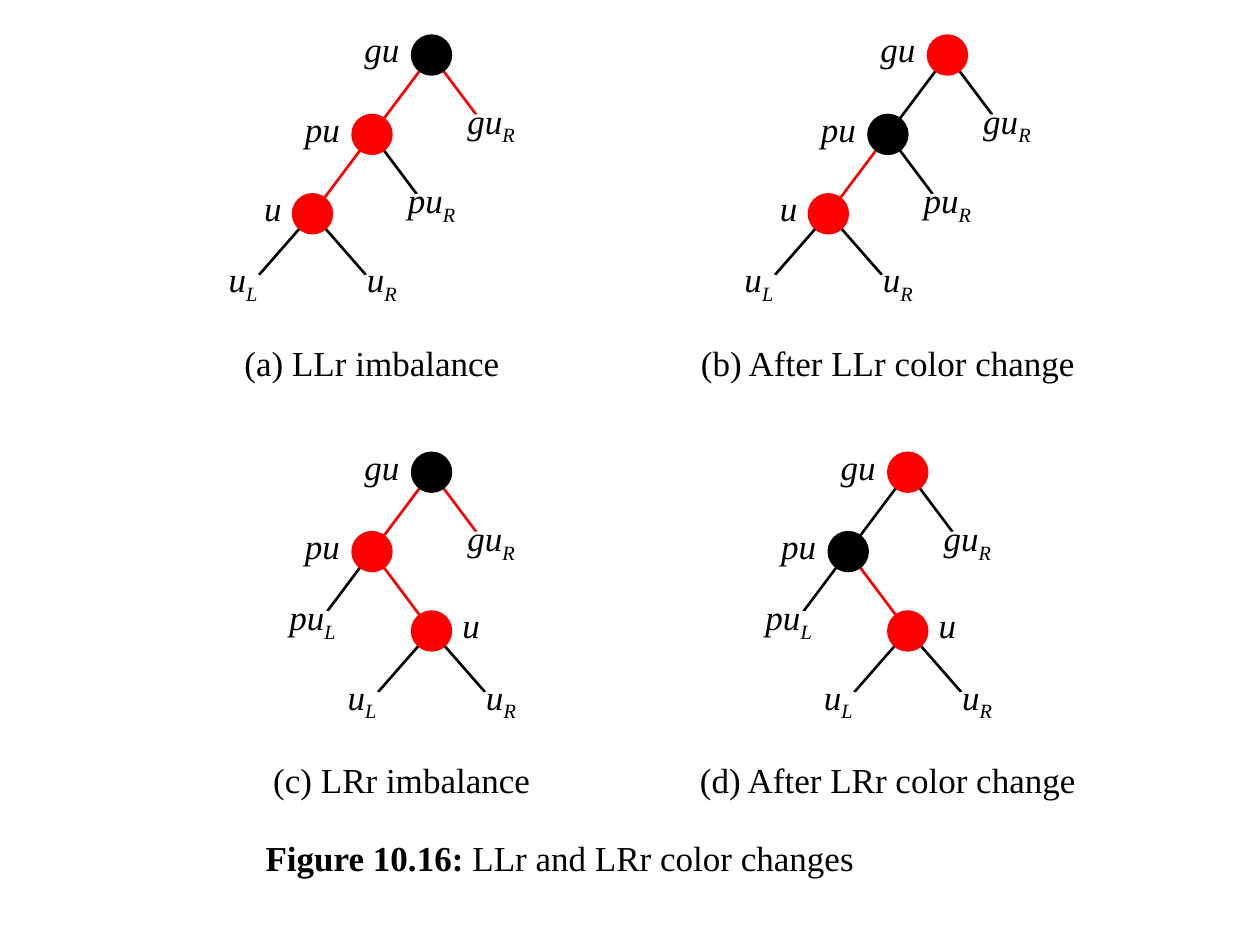
from lxml.etree import SubElement
from pptx import Presentation
from pptx.dml.color import RGBColor
from pptx.enum.shapes import MSO_CONNECTOR, MSO_SHAPE
from pptx.enum.text import MSO_ANCHOR, PP_ALIGN
from pptx.oxml.ns import qn
from pptx.util import Cm, Pt

COLORS = {"red": "FF0000", "black": "000000", "white": "FFFFFF"}
FONT = {"name": "Times New Roman", "size": Pt(20)}
TREES = [
    {"caption": "(a) LLr imbalance", "center": 7.5, "width": 6.4,
     "root": (8.7, 1.11), "turn": -1, "gu": "black", "pu": "red", "upper": "red"},
    {"caption": "(b) After LLr color change", "center": 17.9, "width": 8.8,
     "root": (19.1, 1.11), "turn": -1, "gu": "red", "pu": "black", "upper": "black"},
    {"caption": "(c) LRr imbalance", "center": 8.1, "width": 6,
     "root": (8.7, 9.52), "turn": 1, "gu": "black", "pu": "red", "upper": "red"},
    {"caption": "(d) After LRr color change", "center": 17.9, "width": 8.8,
     "root": (18.3, 9.52), "turn": 1, "gu": "red", "pu": "black", "upper": "black"},
]
FIGURE = [("Figure 10.16: ", True), ("LLr and LRr color changes", False)]
STEP, SPREAD, LEVEL, DISC = 1.2, 1.4, 1.6, 0.8
LEAF_WIDTHS = {"gu": 1.6, "pu": 1.6, "u": 1.2}
LABEL_WIDTHS = {"gu": 1.2, "pu": 1.2, "u": 0.8}
CAPTION_DROP, CAPTION_HEIGHT = 5.6, 1.2


def color(name):
    """Return the named colour."""
    return RGBColor.from_string(COLORS[name])


def set_values(target, values):
    """Set each attribute in values on target."""
    for key, value in values.items():
        setattr(target, key, value)


def frame_at(center, width, height):
    """Return left, top, width and height around a centre."""
    x, y = center
    return Cm(x - width / 2), Cm(y - height / 2), Cm(width), Cm(height)


def add_span(para, text, **extra):
    """Add black text in the slide's font."""
    span = para.add_run()
    span.text = text
    set_values(span.font, {**FONT, **extra})
    span.font.color.rgb = color("black")
    return span


def set_frame(box, anchor, bottom=0.0):
    """Centre a wrapped text frame without side insets and return its paragraph."""
    set_values(box.text_frame, {
        "word_wrap": True, "vertical_anchor": anchor, "margin_left": 0,
        "margin_right": 0, "margin_top": 0, "margin_bottom": Cm(bottom)})
    para = box.text_frame.paragraphs[0]
    para.alignment = PP_ALIGN.CENTER
    return para


def add_edge(page, start, end, name):
    """Draw a tree edge."""
    edge = page.shapes.add_connector(
        MSO_CONNECTOR.STRAIGHT, *(Cm(value) for value in start + end))
    edge.line.color.rgb = color(name)
    edge.line.width = Pt(1.5)
    SubElement(edge._element.spPr, qn("a:effectLst"))


def add_oval(page, center, width, name, weight):
    """Draw an oval filled and outlined in one colour."""
    oval = page.shapes.add_shape(MSO_SHAPE.OVAL, *frame_at(center, width, DISC))
    oval.shadow.inherit = False
    oval.fill.solid()
    oval.fill.fore_color.rgb = color(name)
    oval.line.color.rgb = color(name)
    oval.line.width = Pt(weight)
    return oval


def add_leaf(page, center, node, side):
    """Draw a subtree name with its subscript."""
    oval = add_oval(page, center, LEAF_WIDTHS[node], "white", 1.75)
    para = set_frame(oval, MSO_ANCHOR.BOTTOM, 0.03)
    add_span(para, node, italic=True)
    subscript = add_span(para, side, italic=True)
    subscript.font._element.set("baseline", "-25000")


def add_node(page, center, node, name, side):
    """Draw a node and its name on the given side."""
    add_oval(page, center, DISC, name, 1)
    width = LABEL_WIDTHS[node]
    middle = (center[0] + side * (DISC + width) / 2, center[1])
    box = page.shapes.add_textbox(*frame_at(middle, width, DISC))
    add_span(set_frame(box, MSO_ANCHOR.BOTTOM, 0.1), node, italic=True)


def add_tree(page, tree):
    """Draw one tree with its caption."""
    turn, gu = tree["turn"], tree["root"]

    def below(point, shift):
        """Return the point one level down."""
        return point[0] + shift, point[1] + LEVEL

    pu = below(gu, -STEP)
    u = below(pu, turn * STEP)
    leaves = [
        (gu, below(gu, STEP), "gu", "R", tree["upper"]),
        (pu, below(pu, -turn * STEP), "pu", "R" if turn < 0 else "L", "black"),
        (u, below(u, -SPREAD), "u", "L", "black"),
        (u, below(u, SPREAD), "u", "R", "black"),
    ]
    add_edge(page, gu, pu, tree["upper"])
    add_edge(page, pu, u, "red")
    for parent, center, node, side, name in leaves:
        add_edge(page, parent, center, name)
    for parent, center, node, side, name in leaves:
        add_leaf(page, center, node, side)
    add_node(page, gu, "gu", tree["gu"], -1)
    add_node(page, pu, "pu", tree["pu"], -1)
    add_node(page, u, "u", "red", turn)

    middle = (tree["center"], gu[1] + CAPTION_DROP + CAPTION_HEIGHT / 2)
    box = page.shapes.add_textbox(*frame_at(middle, tree["width"], CAPTION_HEIGHT))
    add_span(set_frame(box, MSO_ANCHOR.MIDDLE), tree["caption"])


def add_figure_caption(page):
    """Place the figure caption in the body placeholder."""
    title, body = page.shapes.title, page.placeholders[1]
    title._element.getparent().remove(title._element)
    set_values(body, {"left": Cm(5.1), "top": Cm(16.74),
                      "width": Cm(15.2), "height": Cm(1.2)})
    para = body.text_frame.paragraphs[0]
    properties = para._p.get_or_add_pPr()
    properties.set("marL", "0")
    properties.set("indent", "0")
    SubElement(properties, qn("a:buNone"))
    for text, bold in FIGURE:
        add_span(para, text, bold=bold)


def main():
    """Build the slide of red-black tree color changes."""
    deck = Presentation()
    set_values(deck, {"slide_width": Cm(25.4), "slide_height": Cm(19.05)})
    page = deck.slides.add_slide(deck.slide_layouts[1])
    add_figure_caption(page)
    for tree in TREES:
        add_tree(page, tree)
    deck.save("out.pptx")


if __name__ == "__main__":
    main()
